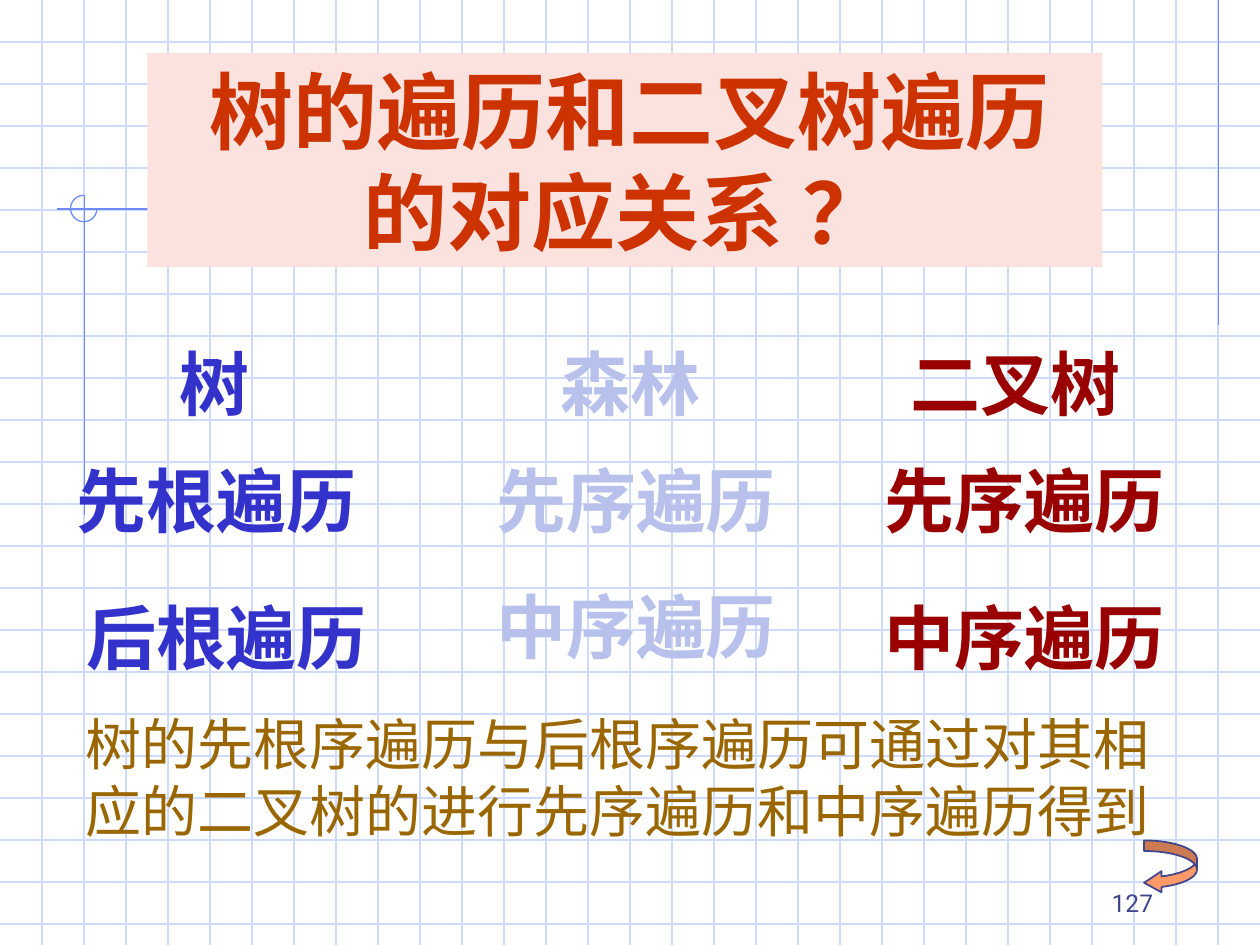
from pptx import Presentation
from pptx.dml.color import RGBColor
from pptx.enum import shapes, text
from pptx.oxml.ns import qn
from pptx.util import Inches, Pt
from lxml import etree

COLORS = {
    "grid": "CFDBFD", "rule": "6F89F7", "banner": "FBE2DF", "title": "CC3300",
    "tree": "3333CC", "forest": "B7C1EB", "binary": "990000",
    "summary": "996600", "arrow": "FF9966", "outline": "40458C",
}
WIDTH, HEIGHT, STEP = 10, 7.5, 1 / 3


def color(name):
    return RGBColor.from_string(COLORS[name])


def add_line(s, x1, y1, x2, y2, name):
    line = s.shapes.add_connector(
        shapes.MSO_CONNECTOR.STRAIGHT, *map(Inches, (x1, y1, x2, y2)))
    line.line.color.rgb = color(name)
    line.line.width = Pt(0.75)
    etree.SubElement(line.element.spPr, qn("a:effectLst"))


def add_preset(s, kind, box, adjustments, line, weight, fill=None):
    sp = s.shapes.add_shape(kind, *map(Inches, box))
    sp.shadow.inherit = False
    for i, value in enumerate(adjustments):
        sp.adjustments[i] = value
    if fill:
        sp.fill.solid()
        sp.fill.fore_color.rgb = color(fill)
    else:
        sp.fill.background()
    sp.line.color.rgb = color(line)
    sp.line.width = Pt(weight)


def add_run(p, words, size, name, bold=False, font="Times New Roman"):
    r = p.add_run()
    r.text = words
    r.font.size = Pt(size)
    r.font.name = font
    r.font.bold = bold
    r.font.color.rgb = color(name)


def add_text(s, words, box, size, name, wrap=True, align=text.PP_ALIGN.LEFT,
             anchor=text.MSO_ANCHOR.TOP, **kwargs):
    tf = s.shapes.add_textbox(*map(Inches, box)).text_frame
    tf.word_wrap = wrap
    tf.vertical_anchor = anchor
    p = tf.paragraphs[0]
    p.alignment = align
    add_run(p, words, size, name, **kwargs)


def add_background(s):
    for i in range(1, int(HEIGHT / STEP) + 1):
        add_line(s, 0, i * STEP, WIDTH, i * STEP, "grid")
    for i in range(1, round(WIDTH / STEP)):
        add_line(s, i * STEP, 0, i * STEP, HEIGHT, "grid")
    add_line(s, 9.67, 0, 9.67, 2.58, "rule")
    add_line(s, 2.4, 1.66, 0.45, 1.66, "rule")
    add_line(s, 0.67, 1.55, 0.67, 4.09, "rule")
    add_preset(s, shapes.MSO_SHAPE.ARC, (0.56, 1.55, 0.21, 0.21), (0, 162),
               "rule", 0.75)


def add_title(s):
    sp = s.shapes.title
    sp.element.getparent().append(sp.element)
    sp.left, sp.top, sp.width, sp.height = map(Inches, (1.17, 0.42, 7.58, 1.7))
    sp.fill.solid()
    sp.fill.fore_color.rgb = color("banner")
    tf = sp.text_frame
    tf.word_wrap = True
    tf.auto_size = text.MSO_AUTO_SIZE.NONE
    tf.vertical_anchor = text.MSO_ANCHOR.TOP
    p = tf.paragraphs[0]
    p.alignment = text.PP_ALIGN.CENTER
    add_run(p, " ", 24, "title", bold=True)
    add_run(p, "树的遍历和二叉树遍历的对应关系 ？", 48, "title", bold=True)


def add_columns(s):
    columns = {
        "tree": [("树", 1.33, 2.65), ("先根遍历", 0.51, 3.58), ("后根遍历", 0.59, 4.67)],
        "forest": [("森林", 4.35, 2.65), ("先序遍历", 3.84, 3.58), ("中序遍历", 3.84, 4.58)],
        "binary": [("二叉树", 7.13, 2.65), ("先序遍历", 6.92, 3.58), ("中序遍历", 6.92, 4.67)],
    }
    for name, labels in columns.items():
        for words, x, y in labels:
            width = 0.2 + len(words) * 40 / 72
            add_text(s, words, (x, y, width, 0.77), 40, name, wrap=False, bold=True)


def main():
    prs = Presentation()
    prs.slide_width, prs.slide_height = Inches(WIDTH), Inches(HEIGHT)
    s = prs.slides.add_slide(prs.slide_layouts[5])
    add_background(s)
    add_title(s)
    add_columns(s)
    add_preset(s, shapes.MSO_SHAPE.CURVED_LEFT_ARROW, (9.08, 6.67, 0.42, 0.42),
               (0.2, 0.4, 0.33), "outline", 1, fill="arrow")
    add_text(s, "树的先根序遍历与后根序遍历可通过对其相应的二叉树的进行先序遍历和中序遍历得到",
             (0.58, 5.58, 9.08, 1.17), 32, "summary")
    add_text(s, "127", (7.17, 6.83, 2.08, 0.5), 14, "outline", font="Roboto",
             align=text.PP_ALIGN.RIGHT, anchor=text.MSO_ANCHOR.BOTTOM)
    prs.save("out.pptx")


if __name__ == "__main__":
    main()
